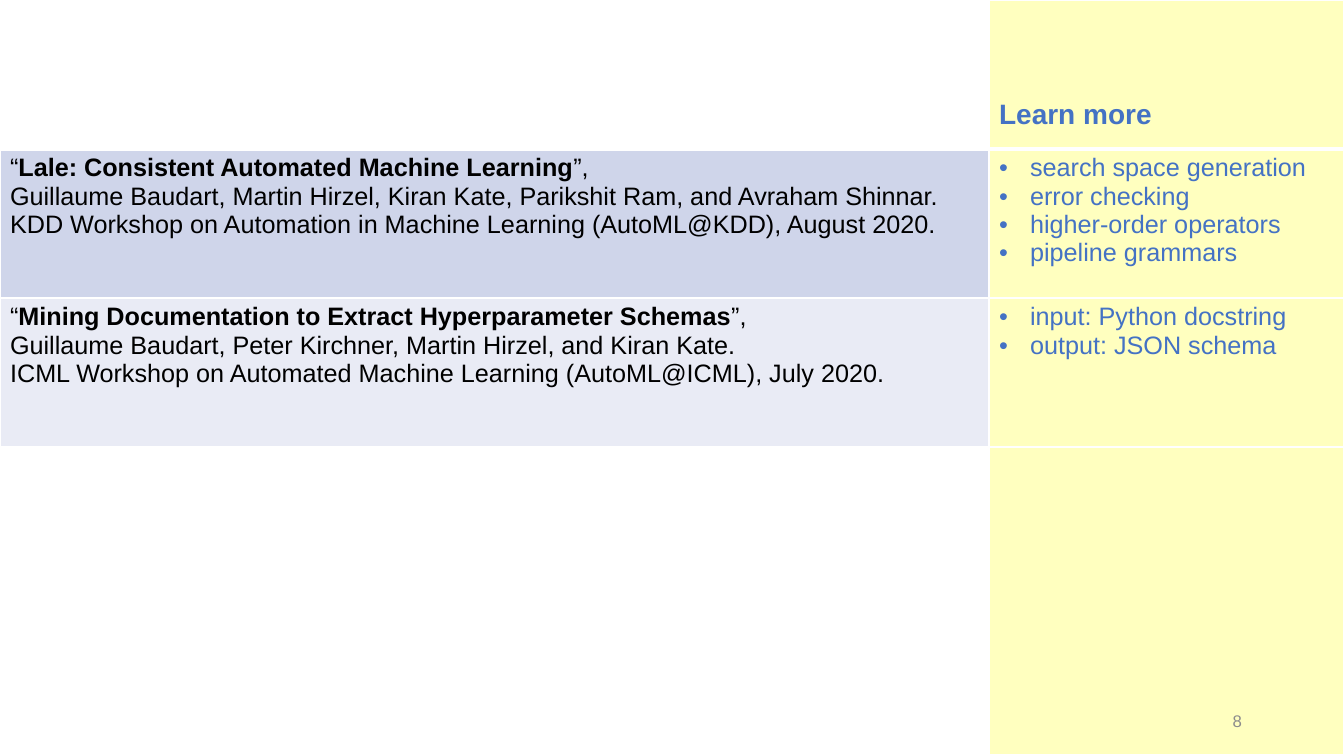
from lxml.etree import SubElement
from pptx import Presentation
from pptx.dml.color import RGBColor
from pptx.enum.shapes import MSO_SHAPE as Shape
from pptx.enum.text import MSO_ANCHOR as Anchor, PP_ALIGN as Align
from pptx.oxml.ns import qn
from pptx.util import Pt

EMU_PER_PIXEL = 914400 / 100.8
SLIDE_W, SLIDE_H = 1344, 756
PAPER_W = 989
TOPIC_W = SLIDE_W - PAPER_W
ROW_H = 149
LAST_ROW_H = 308
BLUE, WHITE = "4472C4", "FFFFFF"

# Title, then the lines that follow it; band colour; topics
PAPERS = [
    ("Lale: Consistent Automated Machine Learning",
     ["Guillaume Baudart, Martin Hirzel, Kiran Kate, Parikshit Ram, and Avraham Shinnar. "
      "KDD Workshop on Automation in Machine Learning (AutoML@KDD), August 2020."],
     "CFD5EA",
     ["search space generation", "error checking", "higher-order operators", "pipeline grammars"]),
    ("Mining Documentation to Extract Hyperparameter Schemas",
     ["Guillaume Baudart, Peter Kirchner, Martin Hirzel, and Kiran Kate.",
      "ICML Workshop on Automated Machine Learning (AutoML@ICML), July 2020."],
     "E9EBF5",
     ["input: Python docstring", "output: JSON schema"]),
]


def px(pixels):
    return round(pixels * EMU_PER_PIXEL)


def rgb(value):
    return RGBColor.from_string(value)


def write(paragraph, text, size=18, color="000000", bold=False, align=Align.LEFT):
    paragraph.alignment = align
    run = paragraph.add_run()
    run.text = text
    run.font.name = "Arial"
    run.font.size = Pt(size)
    run.font.bold = bold
    run.font.color.rgb = rgb(color)


def add_bullet(paragraph):
    properties = paragraph._p.get_or_add_pPr()
    properties.set("marL", str(px(31)))
    properties.set("indent", str(-px(31)))
    SubElement(properties, qn("a:buFont"), typeface="Arial")
    SubElement(properties, qn("a:buChar"), char="•")


def set_borders(cell, top=1, bottom=1):
    properties = cell._tc.get_or_add_tcPr()
    for side, width in (("L", 1), ("R", 1), ("T", top), ("B", bottom)):
        line = SubElement(properties, qn(f"a:ln{side}"), w=str(Pt(width)))
        SubElement(SubElement(line, qn("a:solidFill")), qn("a:srgbClr"), val=WHITE)


def add_highlight(slide):
    highlight = slide.shapes.add_shape(Shape.RECTANGLE, px(PAPER_W), 0, px(TOPIC_W), px(SLIDE_H))
    highlight.shadow.inherit = False
    highlight.line.fill.background()
    highlight.fill.solid()
    highlight.fill.fore_color.rgb = rgb("FFFF00")
    tint = highlight.fill._xPr.find(".//" + qn("a:srgbClr"))
    SubElement(tint, qn("a:alpha"), val="25000")


def add_page_number(slide, number):
    box = slide.shapes.add_textbox(px(950), px(701), px(302), px(40))
    frame = box.text_frame
    frame.word_wrap = True
    frame.vertical_anchor = Anchor.MIDDLE
    write(frame.paragraphs[0], number, size=12, color="8C8C8C", align=Align.RIGHT)


def fill_paper(cell, title, details, band):
    cell.fill.solid()
    cell.fill.fore_color.rgb = rgb(band)
    citation = cell.text_frame.paragraphs[0]
    write(citation, "“")
    write(citation, title, bold=True)
    write(citation, "”,")
    for detail in details:
        citation.add_line_break()
        write(citation, detail)


def fill_topics(cell, topics):
    frame = cell.text_frame
    for index, topic in enumerate(topics):
        paragraph = frame.add_paragraph() if index else frame.paragraphs[0]
        write(paragraph, topic, color=BLUE)
        add_bullet(paragraph)


def add_papers_table(slide):
    heights = [ROW_H] * (len(PAPERS) + 1) + [LAST_ROW_H]
    table = slide.shapes.add_table(len(heights), 2, 0, 0, px(SLIDE_W), px(sum(heights))).table
    table.first_row = table.horz_banding = False
    for column, width in zip(table.columns, (PAPER_W, TOPIC_W)):
        column.width = px(width)
    for index, (row, height) in enumerate(zip(table.rows, heights)):
        row.height = px(height)
        for cell in row.cells:
            set_borders(cell, top=3 if index == 1 else 1, bottom=3 if index == 0 else 1)
            cell.fill.background()

    # Heading sits low in the top row
    heading = table.cell(0, 1)
    heading.vertical_anchor = Anchor.BOTTOM
    heading.margin_bottom = px(19)
    write(heading.text_frame.paragraphs[0], "Learn more", size=20, color=BLUE, bold=True)

    # One row for each paper
    for row, (title, details, band, topics) in enumerate(PAPERS, start=1):
        fill_paper(table.cell(row, 0), title, details, band)
        fill_topics(table.cell(row, 1), topics)


def main():
    deck = Presentation()
    deck.slide_width, deck.slide_height = px(SLIDE_W), px(SLIDE_H)
    slide = deck.slides.add_slide(deck.slide_layouts[6])
    add_highlight(slide)
    add_page_number(slide, "8")
    add_papers_table(slide)
    deck.save("out.pptx")


main()
